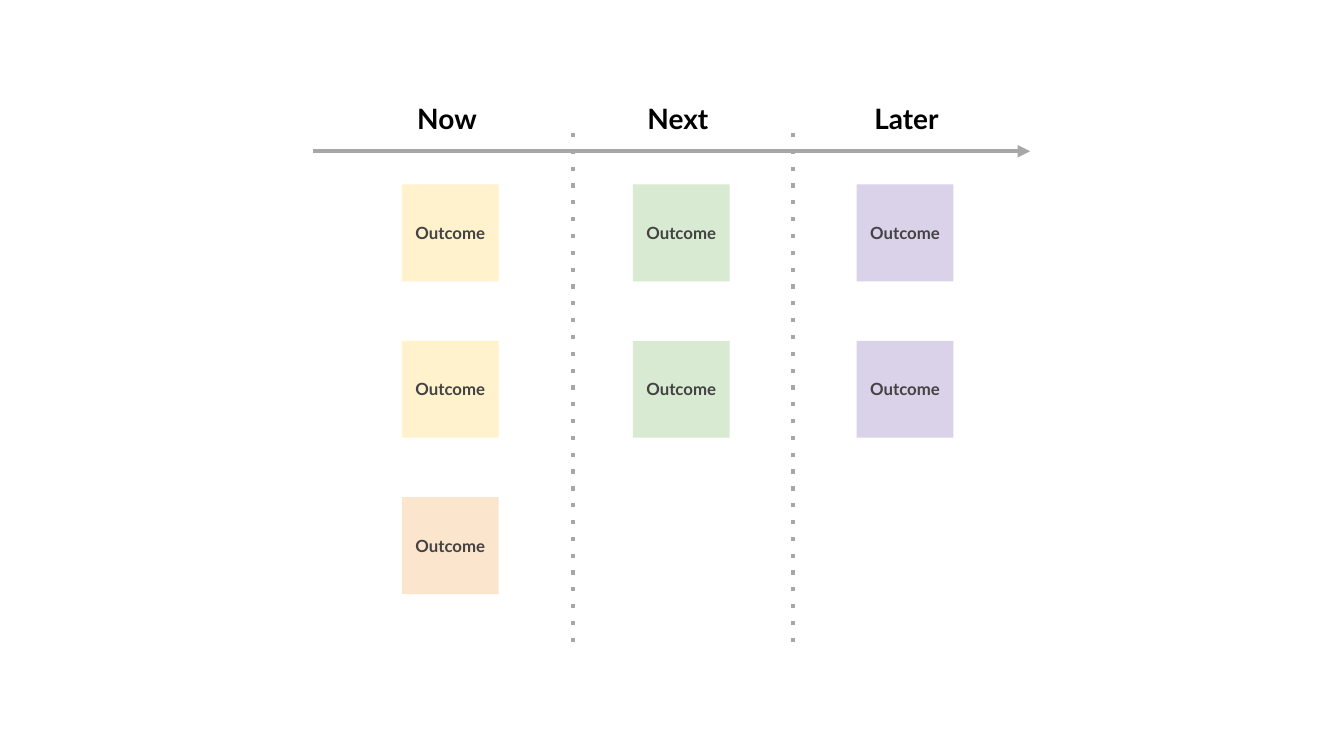
"""Draw a roadmap of outcomes under Now, Next and Later."""
from lxml import etree
from pptx import Presentation
from pptx.dml.color import RGBColor
from pptx.enum.shapes import MSO_CONNECTOR, MSO_SHAPE
from pptx.enum.text import MSO_ANCHOR, PP_ALIGN
from pptx.oxml.ns import qn
from pptx.util import Cm, Pt

STRAIGHT = MSO_CONNECTOR.STRAIGHT
RECT = MSO_SHAPE.RECTANGLE
CENTER = PP_ALIGN.CENTER
TOP, MIDDLE = MSO_ANCHOR.TOP, MSO_ANCHOR.MIDDLE

FONT = "Lato"
GRAY, BLACK, DARK = "A7A7A7", "000000", "434343"
YELLOW, PEACH, GREEN, VIOLET = "FFF2CC", "FCE5CD", "D9EAD3", "D9D2E9"

AXIS = 3.81
TILE, FIRST, PITCH = 2.44, 4.65, 3.94
STAGES = [
    ("Now ", 9.58, 3.53, 1.27, 10.13, [YELLOW, YELLOW, PEACH]),
    ("Next", 15.32, 3.53, 1.27, 15.95, [GREEN, GREEN]),
    ("Later", 19.86, 5.97, 2.08, 21.59, [VIOLET, VIOLET]),
]


def color(code):
    """Turn a hex string into a colour."""
    return RGBColor.from_string(code)


def write(shape, text, size, ink, anchor):
    """Put one bold, centred line of text in a shape."""
    frame = shape.text_frame
    frame.text = text
    frame.word_wrap = True
    frame.vertical_anchor = anchor
    frame.margin_left = frame.margin_right = Cm(0.25)
    frame.margin_top = frame.margin_bottom = Cm(0.25)
    line = frame.paragraphs[0]
    line.alignment = CENTER
    font = line.runs[0].font
    font.name, font.size, font.bold = FONT, Pt(size), True
    font.color.rgb = color(ink)


def add_line(slide, start, end, tag, kind):
    """Draw a gray line with one extra style: a dash or an arrowhead."""
    x1, y1, x2, y2 = (Cm(n) for n in start + end)
    line = slide.shapes.add_connector(STRAIGHT, x1, y1, x2, y2)
    line.line.color.rgb = color(GRAY)
    line.line.width = Pt(3)
    props = line.element.spPr
    style = etree.SubElement(props.find(qn("a:ln")), qn(tag))
    style.set("type" if tag == "a:tailEnd" else "val", kind)
    etree.SubElement(props, qn("a:effectLst"))


def add_title(slide, text, left, width, height):
    """Place a stage title above the time axis."""
    box = slide.shapes.add_textbox(Cm(left), Cm(2.31), Cm(width), Cm(height))
    write(box, text, 20, BLACK, TOP)


def add_tile(slide, left, row, fill):
    """Place an outcome tile in a row below the axis."""
    top = FIRST + row * PITCH
    tile = slide.shapes.add_shape(RECT, Cm(left), Cm(top), Cm(TILE), Cm(TILE))
    tile.shadow.inherit = False
    tile.fill.solid()
    tile.fill.fore_color.rgb = color(fill)
    tile.line.fill.background()
    write(tile, "Outcome", 12, DARK, MIDDLE)


def main():
    """Build and save the slide."""
    deck = Presentation()
    deck.slide_width, deck.slide_height = Cm(33.87), Cm(19.05)
    slide = deck.slides.add_slide(deck.slide_layouts[6])
    add_line(slide, (7.9, AXIS), (25.96, AXIS), "a:tailEnd", "triangle")
    for x in (14.45, 19.99):
        add_line(slide, (x, 3.35), (x, 16.41), "a:prstDash", "dot")
    for text, left, width, height, edge, fills in STAGES:
        add_title(slide, text, left, width, height)
        for row, fill in enumerate(fills):
            add_tile(slide, edge, row, fill)
    deck.save("out.pptx")


if __name__ == "__main__":
    main()
